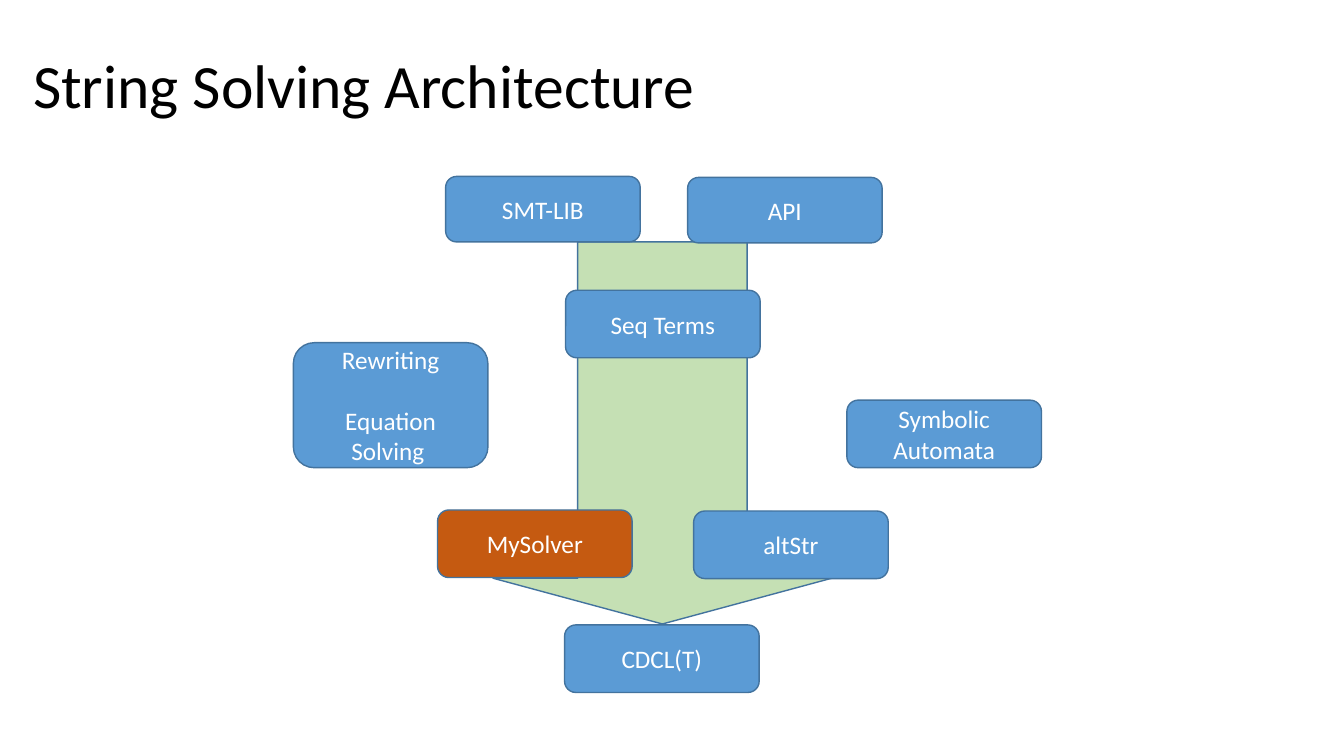
import pptx
import pptx.dml.color
import pptx.enum.shapes
import pptx.enum.text
import pptx.util

Inches = pptx.util.Inches
Pt = pptx.util.Pt
Shape = pptx.enum.shapes.MSO_SHAPE
Align = pptx.enum.text.PP_ALIGN
Anchor = pptx.enum.text.MSO_ANCHOR

TITLE = "String Solving Architecture"
FONT = "Calibri"
COLOURS = {
    "arrow": "C5E0B4",
    "stage": "5B9BD5",
    "highlight": "C55A11",
    "outline": "43739E",
    "label": "FFFFFF",
    "title": "000000",
}
BOX_WIDTH = 1.93
LABEL_SIZE = 18
PARAGRAPH_GAP = 22

# paragraphs, left, top, height, fill
STAGES = [
    (["CDCL(T)"], 5.6, 6.2, 0.67, "stage"),
    (["Seq Terms"], 5.61, 2.88, 0.67, "stage"),
    (["altStr"], 6.88, 5.07, 0.67, "stage"),
    (["Rewriting", "Equation Solving "], 2.91, 3.4, 1.24, "stage"),
    (["Symbolic Automata"], 8.4, 3.97, 0.67, "stage"),
    (["API"], 6.82, 1.76, 0.65, "stage"),
    (["SMT-LIB"], 4.42, 1.75, 0.65, "stage"),
    (["MySolver"], 4.34, 5.06, 0.67, "highlight"),
]


def colour(name):
    return pptx.dml.color.RGBColor.from_string(COLOURS[name])


def add_block(slide, kind, left, top, width, height, fill):
    block = slide.shapes.add_shape(
        kind, Inches(left), Inches(top), Inches(width), Inches(height))
    block.shadow.inherit = False
    block.fill.solid()
    block.fill.fore_color.rgb = colour(fill)
    block.line.color.rgb = colour("outline")
    block.line.width = Pt(1)
    return block


def write(shape, paragraphs, size, ink, align):
    frame = shape.text_frame
    frame.word_wrap = True
    frame.vertical_anchor = Anchor.MIDDLE
    for index, text in enumerate(paragraphs):
        para = frame.add_paragraph() if index else frame.paragraphs[0]
        para.alignment = align
        if index:
            para.space_before = Pt(PARAGRAPH_GAP)
        span = para.add_run()
        span.text = text
        span.font.name = FONT
        span.font.size = Pt(size)
        span.font.color.rgb = colour(ink)


def main():
    deck = pptx.Presentation()
    deck.slide_width = Inches(13.33)
    deck.slide_height = Inches(7.5)
    page = deck.slides.add_slide(deck.slide_layouts[6])

    arrow = add_block(page, Shape.DOWN_ARROW, 4.89, 2.4, 3.36, 3.79, "arrow")
    arrow.adjustments[0] = 0.5
    arrow.adjustments[1] = 0.135

    title = page.shapes.add_textbox(
        Inches(0.23), Inches(0.15), Inches(11.5), Inches(1.45))
    write(title, [TITLE], 44, "title", Align.LEFT)
    title.text_frame.paragraphs[0].line_spacing = 0.9

    for paragraphs, left, top, height, fill in STAGES:
        box = add_block(
            page, Shape.ROUNDED_RECTANGLE, left, top, BOX_WIDTH, height, fill)
        write(box, paragraphs, LABEL_SIZE, "label", Align.CENTER)

    deck.save("out.pptx")


if __name__ == "__main__":
    main()
